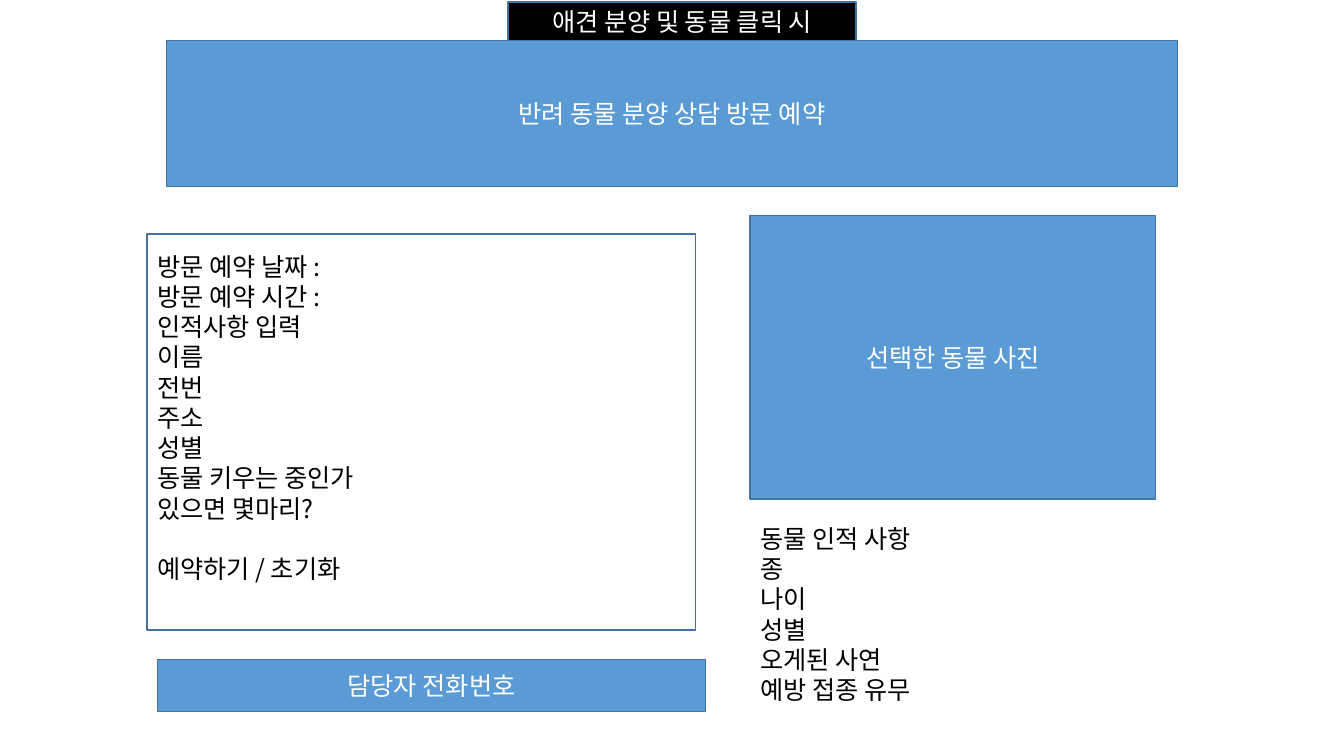
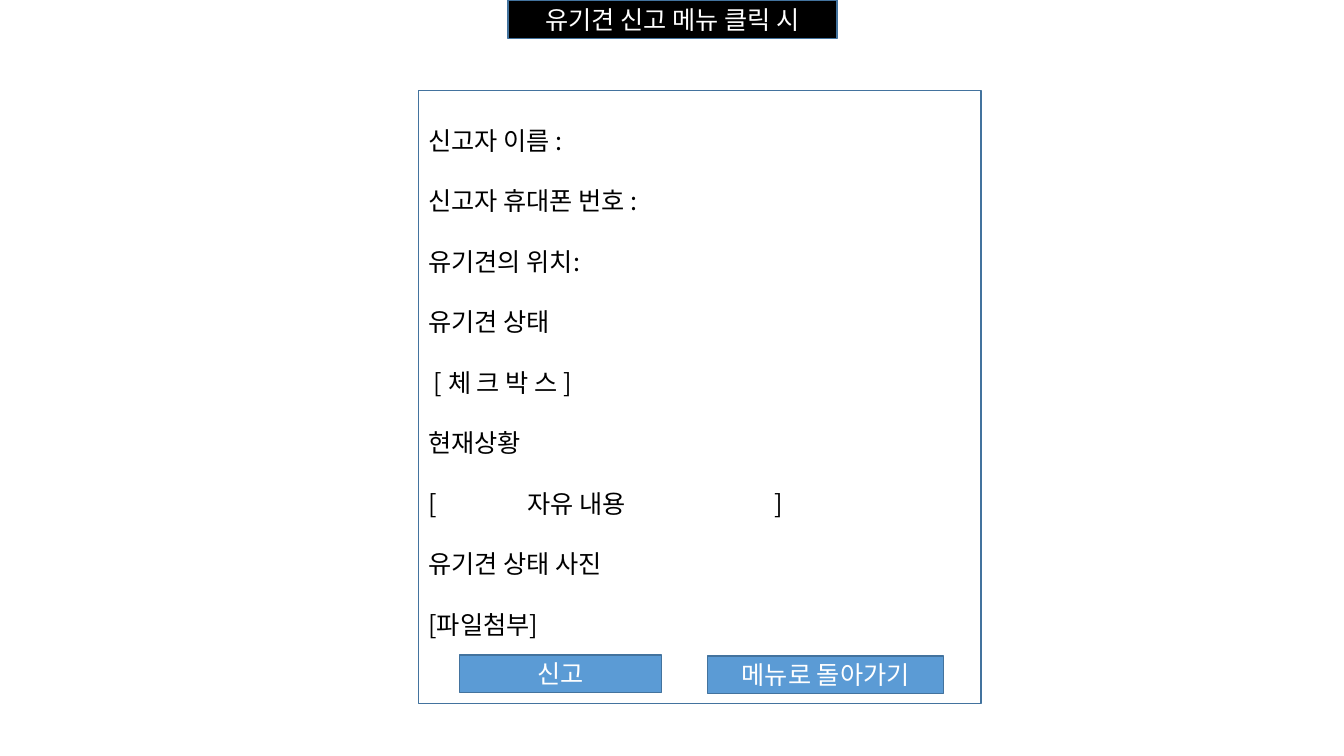
from lxml.etree import SubElement
from pptx import Presentation
from pptx.dml.color import RGBColor
from pptx.enum.shapes import MSO_SHAPE as Preset
from pptx.enum.text import MSO_ANCHOR as Anchor, MSO_AUTO_SIZE as AutoSize, PP_ALIGN as Align
from pptx.oxml.ns import qn
from pptx.util import Inches, Pt

# Shared style
BLUE = RGBColor(0x5B, 0x9B, 0xD5)
OUTLINE = RGBColor(0x43, 0x73, 0x9E)
WHITE = RGBColor(0xFF, 0xFF, 0xFF)
BLACK = RGBColor(0x00, 0x00, 0x00)
FONT = "Noto Sans CJK KR"
TEXT_SIZE = Pt(18)
LINE_HEIGHT = Pt(21.6)
TITLE_ONLY_LAYOUT = 5

# Form wording
VISIT_LINES = ["방문 예약 날짜 : ", "방문 예약 시간 :", "인적사항 입력", "이름", "전번",
               "주소", "성별", "동물 키우는 중인가", "있으면 몇마리?", "예약하기 / 초기화"]
ANIMAL_LINES = ["동물 인적 사항", "종", "나이", "성별", "오게된 사연", "예방 접종 유무"]
REPORT_LINES = ["신고자 이름 : ", "신고자 휴대폰 번호 :", "유기견의 위치:", "유기견 상태",
                " [ 체 크 박 스 ]", "현재상황", "[\t자유 내용\t]", "유기견 상태 사진", "[파일첨부]"]


def write_lines(shape, lines, color, align=Align.LEFT, anchor=Anchor.TOP):
    text_frame = shape.text_frame
    text_frame.text = "\n".join(lines)
    text_frame.word_wrap = True
    text_frame.auto_size = AutoSize.NONE
    text_frame.vertical_anchor = anchor
    for paragraph in text_frame.paragraphs:
        paragraph.alignment = align
        paragraph.line_spacing = LINE_HEIGHT
        for run in paragraph.runs:
            run.font.size = TEXT_SIZE
            run.font.name = FONT
            run.font.color.rgb = color
            SubElement(run.font._element, qn("a:ea"), typeface=FONT)
    return text_frame


def paint(shape, fill):
    shape.fill.solid()
    shape.fill.fore_color.rgb = fill
    shape.line.color.rgb = OUTLINE
    shape.line.width = Pt(1)


def add_box(slide, left, top, width, height, fill):
    shape = slide.shapes.add_shape(Preset.RECTANGLE, Inches(left), Inches(top),
                                   Inches(width), Inches(height))
    shape.shadow.inherit = False
    paint(shape, fill)
    return shape


def add_label(slide, text, *bounds):
    box = add_box(slide, *bounds, BLUE)
    write_lines(box, [text], WHITE, Align.CENTER, Anchor.MIDDLE)


def add_form(slide, lines, top_margin, *bounds):
    text_frame = write_lines(add_box(slide, *bounds, WHITE), lines, BLACK)
    text_frame.margin_top = Inches(top_margin)
    return text_frame.paragraphs


def add_tab_stops(paragraph, positions):
    tab_list = SubElement(paragraph._p.get_or_add_pPr(), qn("a:tabLst"))
    for position in positions:
        SubElement(tab_list, qn("a:tab"), pos=str(Inches(position)), algn="l")


def add_titled_slide(presentation, text, top, width):
    slide = presentation.slides.add_slide(presentation.slide_layouts[TITLE_ONLY_LAYOUT])
    title = slide.shapes.title
    title.left, title.top = Inches(5.04), Inches(top)
    title.width, title.height = Inches(width), Inches(0.38)
    paint(title, BLACK)
    write_lines(title, [text], WHITE, Align.CENTER, Anchor.MIDDLE)
    return slide


def build_visit_slide(presentation):
    slide = add_titled_slide(presentation, "애견 분양 및 동물 클릭 시", 0.02, 3.45)
    # Visit form, with its buttons one line lower
    paragraphs = add_form(slide, VISIT_LINES, 0.17, 1.46, 2.32, 5.44, 3.93)
    paragraphs[-1].space_before = LINE_HEIGHT
    # Banner, photo and phone number
    add_label(slide, "반려 동물 분양 상담 방문 예약", 1.65, 0.4, 10.03, 1.45)
    add_label(slide, "선택한 동물 사진", 7.44, 2.14, 4.02, 2.81)
    add_label(slide, "담당자 전화번호", 1.56, 6.54, 5.44, 0.52)
    # Animal details
    details = slide.shapes.add_textbox(Inches(7.44), Inches(5.14), Inches(3.96), Inches(2.22))
    write_lines(details, ANIMAL_LINES, BLACK)


def build_report_slide(presentation):
    slide = add_titled_slide(presentation, "유기견 신고 메뉴 클릭 시", 0, 3.26)
    # Report form, with a line's gap between fields
    paragraphs = add_form(slide, REPORT_LINES, 0.34, 4.15, 0.9, 5.58, 6.08)
    for paragraph in paragraphs[1:]:
        paragraph.space_before = LINE_HEIGHT
        if "\t" in paragraph.text:
            add_tab_stops(paragraph, [0.98, 3.43])
    # Buttons
    add_label(slide, "신고", 4.56, 6.5, 2, 0.37)
    add_label(slide, "메뉴로 돌아가기", 7.02, 6.51, 2.34, 0.37)


def main():
    presentation = Presentation()
    presentation.slide_width = Inches(13.33)
    presentation.slide_height = Inches(7.5)
    build_visit_slide(presentation)
    build_report_slide(presentation)
    presentation.save("out.pptx")


main()
